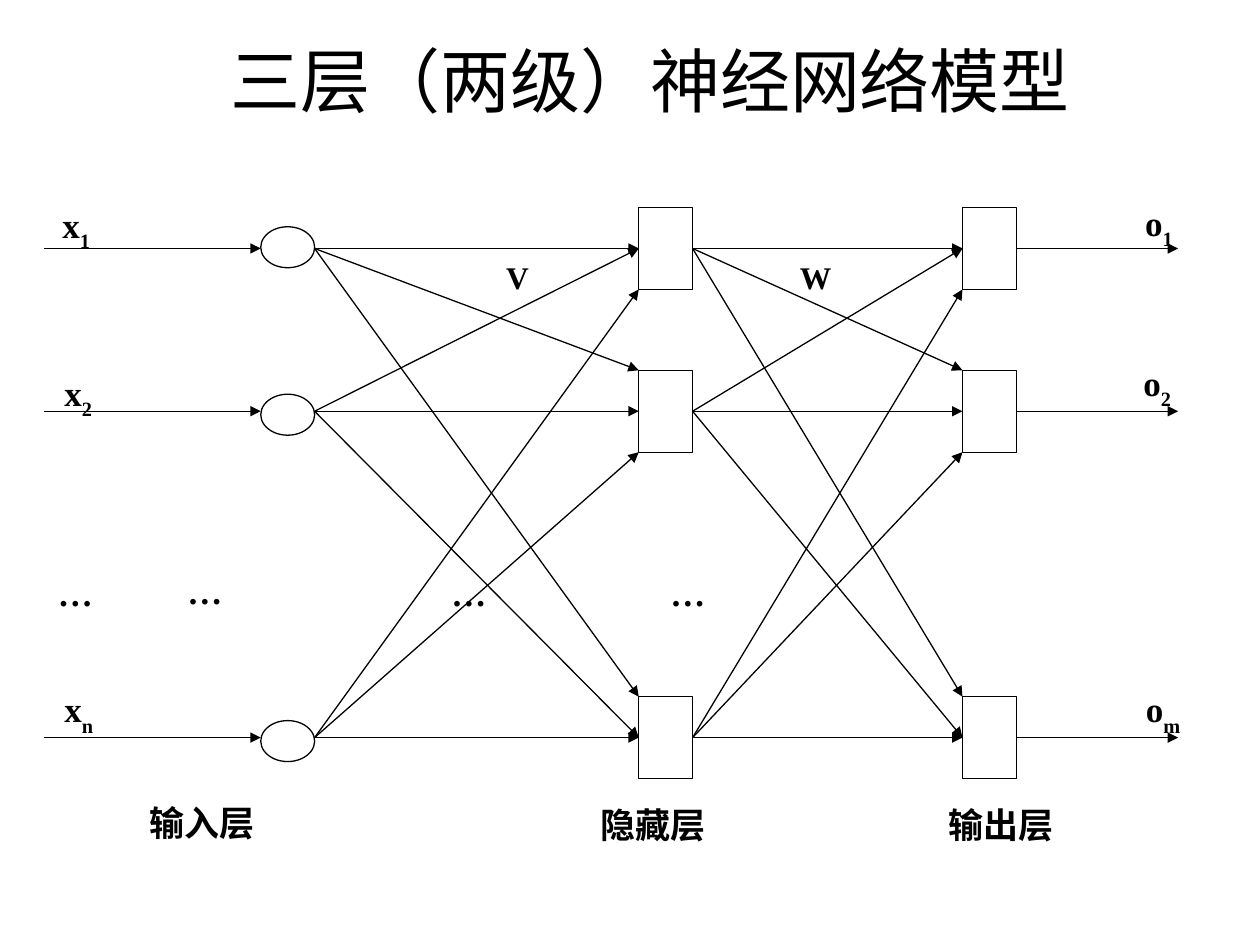
from dataclasses import dataclass
from typing import Any

from lxml import etree
from pptx import Presentation
from pptx.dml.color import RGBColor
from pptx.enum.shapes import MSO_CONNECTOR, MSO_SHAPE
from pptx.enum.text import MSO_ANCHOR, MSO_AUTO_SIZE, PP_ALIGN
from pptx.oxml.ns import qn
from pptx.util import Pt

STRAIGHT = MSO_CONNECTOR.STRAIGHT
OVAL, RECTANGLE = MSO_SHAPE.OVAL, MSO_SHAPE.RECTANGLE
MIDDLE, TOP = MSO_ANCHOR.MIDDLE, MSO_ANCHOR.TOP
CENTER, LEFT = PP_ALIGN.CENTER, PP_ALIGN.LEFT
FIT_SHAPE, NO_FIT = MSO_AUTO_SIZE.SHAPE_TO_FIT_TEXT, MSO_AUTO_SIZE.NONE

COLORS = {"ink": "000000", "paper": "FFFFFF"}
ROWS = [142, 235, 421.5]
OVAL_CENTERS = [141.3, 237, 423.5]
NODE_WIDTH, OVAL_HEIGHT, BOX_HEIGHT = 30.8, 23.4, 46.8
INPUT_X, HIDDEN_X, OUTPUT_X = 149, 365, 550
START_X, END_X = 25.3, 673.2


def color(name):
    return RGBColor.from_string(COLORS[name])


def write(frame, text, sub="", size=20, font="Times New Roman", bold=True,
          align=LEFT, before=0):
    para = frame.paragraphs[0]
    para.alignment = align
    para.space_before = Pt(before)
    for part, baseline in ((text, None), (sub, "-30000")):
        if not part:
            continue
        span = para.add_run()
        span.text = part
        span.font.name = font
        span.font.size = Pt(size)
        span.font.bold = bold
        span.font.color.rgb = color("ink")
        if baseline:
            span.font._element.set("baseline", baseline)


@dataclass
class Diagram:
    page: Any
    line_width: float = 0.75

    def title(self, text, left, top, width, height):
        box = self.page.shapes.title
        box.left, box.top, box.width, box.height = map(Pt, (left, top, width, height))
        box.text_frame.vertical_anchor = MIDDLE
        box.text_frame.auto_size = NO_FIT
        write(box.text_frame, text, size=40, font="Arial", bold=False, align=CENTER)

    def node(self, kind, left, center, height):
        shape = self.page.shapes.add_shape(
            kind, Pt(left), Pt(center - height / 2), Pt(NODE_WIDTH), Pt(height))
        shape.shadow.inherit = False
        shape.fill.solid()
        shape.fill.fore_color.rgb = color("paper")
        shape.line.color.rgb = color("ink")
        shape.line.width = Pt(self.line_width)

    def arrow(self, x1, y1, x2, y2):
        line = self.page.shapes.add_connector(STRAIGHT, Pt(x1), Pt(y1), Pt(x2), Pt(y2))
        line.line.color.rgb = color("ink")
        line.line.width = Pt(self.line_width)
        etree.SubElement(line.line._get_or_add_ln(), qn("a:tailEnd"), type="triangle")
        etree.SubElement(line._element.spPr, qn("a:effectLst"))

    def connect_layers(self, x1, x2):
        for source, y1 in enumerate(ROWS):
            for target, y2 in enumerate(ROWS):
                shift = 0 if source == target else (source - 1) * BOX_HEIGHT / 2
                self.arrow(x1, y1, x2, y2 + shift)

    def label(self, text, left, top, width, height, wrap=False, **style):
        box = self.page.shapes.add_textbox(Pt(left), Pt(top), Pt(width), Pt(height))
        frame = box.text_frame
        frame.word_wrap = wrap
        frame.auto_size = FIT_SHAPE
        frame.vertical_anchor = TOP
        write(frame, text, **style)


def main():
    deck = Presentation()
    deck.slide_width, deck.slide_height = Pt(720), Pt(540)
    diagram = Diagram(deck.slides.add_slide(deck.slide_layouts[5]))
    diagram.title("三层（两级）神经网络模型", 110.2, 20.8, 522.7, 49.7)

    for center in OVAL_CENTERS:
        diagram.node(OVAL, INPUT_X, center, OVAL_HEIGHT)
    for left in (HIDDEN_X, OUTPUT_X):
        for center in ROWS:
            diagram.node(RECTANGLE, left, center, BOX_HEIGHT)

    for y in ROWS:
        diagram.arrow(START_X, y, INPUT_X, y)
        diagram.arrow(OUTPUT_X + NODE_WIDTH, y, END_X, y)
    diagram.connect_layers(INPUT_X + NODE_WIDTH, HIDDEN_X)
    diagram.connect_layers(HIDDEN_X + NODE_WIDTH, OUTPUT_X)

    for text, sub, left, top in (
            ("x", "1", 28.6, 112.6), ("x", "2", 29.7, 208.6),
            ("x", "n", 29.7, 389.5), ("o", "1", 647.3, 111.4),
            ("o", "2", 646.3, 203), ("o", "m", 647.7, 389.5)):
        diagram.label(text, left, top, 36, 36, sub=sub)
    for text, left, top in (("输入层", 78.5, 454.3), ("隐藏层", 336.2, 455.8),
                            ("输出层", 535, 455.8)):
        diagram.label(text, left, top, 78, 31.7)
    for left, top in ((26, 323), (100, 321.8), (250.8, 323.3), (376, 323.3)):
        diagram.label("…", left, top, 36, 31.7)
    for text, left in (("V", 282.2), ("W", 450)):
        diagram.label(text, left, 144, 48.2, 28.8, wrap=True, size=18, before=11.2)

    deck.save("out.pptx")


if __name__ == "__main__":
    main()
